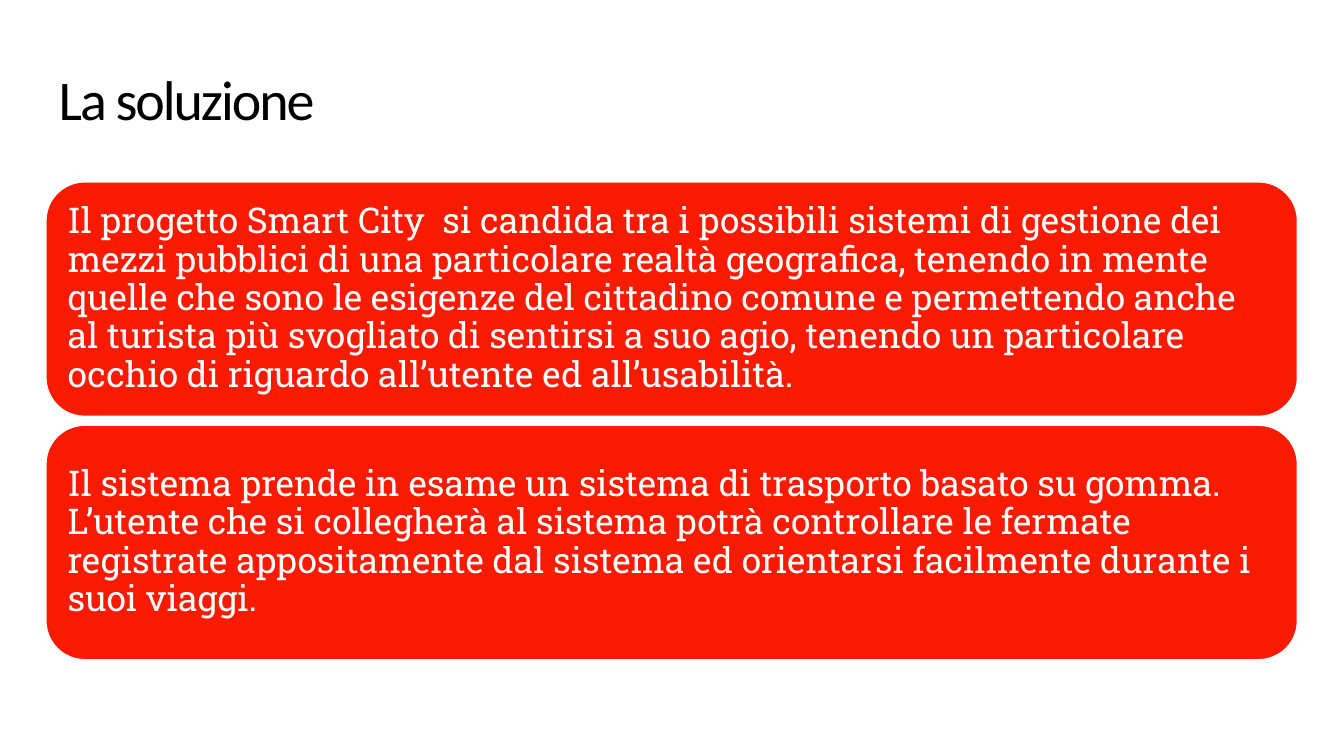
from dataclasses import dataclass

from pptx import Presentation
from pptx.dml.color import RGBColor
from pptx.enum.shapes import MSO_SHAPE
from pptx.enum.text import MSO_ANCHOR, MSO_AUTO_SIZE, PP_ALIGN
from pptx.util import Cm, Pt


@dataclass(frozen=True)
class Theme:
    """Colours, fonts and type sizes of the slide."""

    panel: RGBColor = RGBColor(0xF8, 0x1B, 0x02)
    light: RGBColor = RGBColor(0xFF, 0xFF, 0xFF)
    dark: RGBColor = RGBColor(0, 0, 0)
    title_font: str = "Calibri"
    body_font: str = "Roboto Slab"
    title_size: Pt = Pt(30)
    body_size: Pt = Pt(19)


THEME = Theme()
LEFT, WIDTH = Cm(0.86), Cm(23.67)
PANEL_TOP, PANEL_HEIGHT, PANEL_GAP = Cm(3.43), Cm(4.45), Cm(0.15)
TITLE = "La soluzione"
PANELS = (
    "Il progetto Smart City  si candida tra i possibili sistemi di gestione dei "
    "mezzi pubblici di una particolare realtà geografica, tenendo in mente quelle "
    "che sono le esigenze del cittadino comune e permettendo anche al turista più "
    "svogliato di sentirsi a suo agio, tenendo un particolare occhio di riguardo "
    "all’utente ed all’usabilità.",
    "Il sistema prende in esame un sistema di trasporto basato su gomma. L’utente "
    "che si collegherà al sistema potrà controllare le fermate registrate "
    "appositamente dal sistema ed orientarsi facilmente durante i suoi viaggi.",
)


def apply_format(target, values):
    """Set each named attribute on the target."""
    for name, value in values.items():
        setattr(target, name, value)


def write_text(shape, text, margin, line_spacing, font_format):
    """Fill the shape with one left-aligned, vertically centred paragraph."""
    frame = shape.text_frame
    apply_format(frame, {
        "word_wrap": True,
        "auto_size": MSO_AUTO_SIZE.NONE,
        "vertical_anchor": MSO_ANCHOR.MIDDLE,
        "margin_left": margin,
        "margin_right": margin,
        "margin_top": margin,
        "margin_bottom": margin,
    })
    paragraph = frame.paragraphs[0]
    apply_format(paragraph, {"alignment": PP_ALIGN.LEFT, "line_spacing": line_spacing})
    run = paragraph.add_run()
    run.text = text
    color = font_format["color"]
    apply_format(run.font, {k: v for k, v in font_format.items() if k != "color"})
    run.font.color.rgb = color
    return run


def add_title(slide, text):
    """Place and format the title placeholder."""
    title = slide.shapes.title
    apply_format(title, {"left": LEFT, "top": Cm(1.09), "width": WIDTH, "height": Cm(1.73)})
    run = write_text(title, text, Cm(0.25), 0.85, {
        "name": THEME.title_font, "size": THEME.title_size, "color": THEME.dark,
    })
    run.font._element.set("spc", "-110")


def add_panel(slide, top, text):
    """Add a rounded red panel holding its text."""
    panel = slide.shapes.add_shape(MSO_SHAPE.ROUNDED_RECTANGLE, LEFT, top, WIDTH, PANEL_HEIGHT)
    panel.shadow.inherit = False
    panel.fill.solid()
    panel.fill.fore_color.rgb = THEME.panel
    panel.line.color.rgb = THEME.light
    panel.line.width = Pt(1.25)
    write_text(panel, text, Cm(0.2), 0.9, {
        "name": THEME.body_font, "size": THEME.body_size, "color": THEME.light,
    })


def main():
    """Build the slide and save the presentation."""
    presentation = Presentation()
    apply_format(presentation, {"slide_width": Cm(25.4), "slide_height": Cm(14.29)})
    slide = presentation.slides.add_slide(presentation.slide_layouts[5])
    add_title(slide, TITLE)
    for index, text in enumerate(PANELS):
        add_panel(slide, PANEL_TOP + index * (PANEL_HEIGHT + PANEL_GAP), text)
    presentation.save("out.pptx")


if __name__ == "__main__":
    main()
